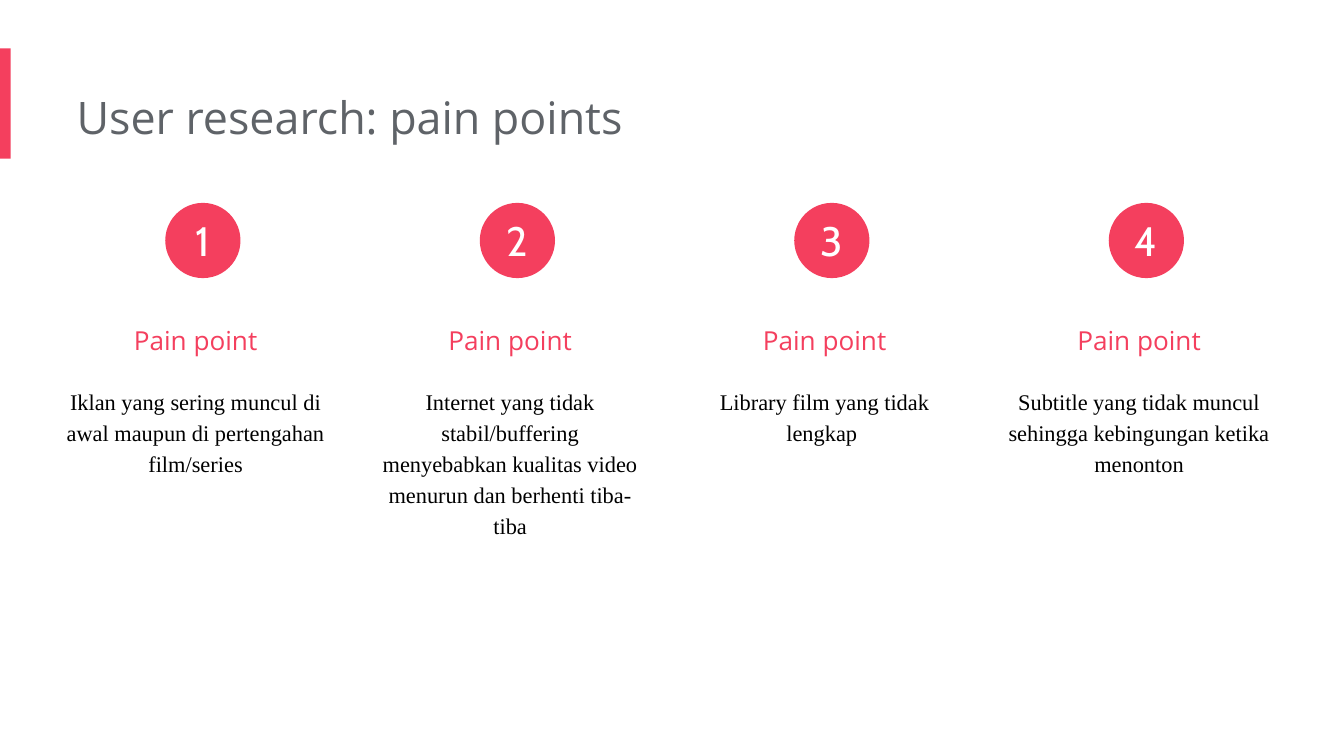
from dataclasses import dataclass

import pptx
import pptx.dml.color
import pptx.enum.shapes
import pptx.enum.text
import pptx.util

Inches = pptx.util.Inches
Align = pptx.enum.text.PP_ALIGN
ShapeKind = pptx.enum.shapes.MSO_SHAPE


@dataclass(frozen=True)
class TextStyle:
    font: str
    size: int
    color: str
    align: Align = Align.CENTER
    line_spacing: float = 1.0


@dataclass(frozen=True)
class Theme:
    accent: str = "F43F5E"
    title: TextStyle = TextStyle("Open Sans", 24, "5F6368", Align.LEFT)
    heading: TextStyle = TextStyle("Open Sans", 14, "F43F5E", line_spacing=1.5)
    body: TextStyle = TextStyle("Times New Roman", 12, "000000", line_spacing=1.15)
    number: TextStyle = TextStyle("Cabin", 22, "FFFFFF")


@dataclass(frozen=True)
class Area:
    left: float
    top: float
    width: float
    height: float

    def lengths(self) -> tuple:
        return tuple(Inches(v) for v in (self.left, self.top, self.width, self.height))


@dataclass(frozen=True)
class PainPoint:
    description: str
    height: float


THEME = Theme()
FIRST_LEFT, COLUMN_PITCH, COLUMN_WIDTH = 0.48, 2.34, 2.05
BADGE_OFFSET, BADGE_SIZE = 0.75, 0.56
PAIN_POINTS = (
    PainPoint("Iklan yang sering muncul di awal maupun di pertengahan film/series", 1.27),
    PainPoint(
        "Internet yang tidak stabil/buffering menyebabkan kualitas video "
        "menurun dan berhenti tiba-tiba",
        1.73,
    ),
    PainPoint("Library film yang tidak lengkap ", 1.04),
    PainPoint("Subtitle yang tidak muncul sehingga kebingungan ketika menonton", 1.27),
)


def write_text(frame, text: str, style: TextStyle, margins: tuple) -> None:
    """Fill a text frame; margins are left, top, right, bottom in inches."""
    frame.margin_left, frame.margin_top, frame.margin_right, frame.margin_bottom = (
        Inches(margin) for margin in margins
    )
    frame.word_wrap = True
    frame.text = text
    para = frame.paragraphs[0]
    para.alignment = style.align
    para.line_spacing = style.line_spacing
    span = para.runs[0]
    span.font.name = style.font
    span.font.size = pptx.util.Pt(style.size)
    span.font.color.rgb = pptx.dml.color.RGBColor.from_string(style.color)


def add_text(page, area: Area, text: str, style: TextStyle) -> None:
    frame = page.shapes.add_textbox(*area.lengths()).text_frame
    write_text(frame, text, style, (0, 0.1, 0.1, 0.1))
    frame.auto_size = pptx.enum.text.MSO_AUTO_SIZE.SHAPE_TO_FIT_TEXT


def add_accent_shape(page, kind: ShapeKind, area: Area):
    shape = page.shapes.add_shape(kind, *area.lengths())
    shape.shadow.inherit = False
    shape.fill.solid()
    shape.fill.fore_color.rgb = pptx.dml.color.RGBColor.from_string(THEME.accent)
    shape.line.fill.background()
    return shape


def add_pain_point(page, index: int, point: PainPoint) -> None:
    left = FIRST_LEFT + index * COLUMN_PITCH
    add_text(page, Area(left, 2.2, COLUMN_WIDTH, 0.44), "Pain point", THEME.heading)
    add_text(page, Area(left, 2.76, COLUMN_WIDTH, point.height),
             point.description, THEME.body)
    badge = add_accent_shape(
        page, ShapeKind.OVAL, Area(left + BADGE_OFFSET, 1.51, BADGE_SIZE, BADGE_SIZE)
    )
    write_text(badge.text_frame, str(index + 1), THEME.number, (0, 0, 0, 0))
    badge.text_frame.vertical_anchor = pptx.enum.text.MSO_ANCHOR.MIDDLE


def main() -> None:
    deck = pptx.Presentation()
    deck.slide_width = Inches(10)
    deck.slide_height = Inches(10 * 9 / 16)
    page = deck.slides.add_slide(deck.slide_layouts[6])

    add_accent_shape(page, ShapeKind.RECTANGLE, Area(0, 0.36, 0.08, 0.82))
    add_text(page, Area(0.57, 0.57, 6.73, 0.61),
             "User research: pain points", THEME.title)
    for index, point in enumerate(PAIN_POINTS):
        add_pain_point(page, index, point)

    deck.save("out.pptx")


if __name__ == "__main__":
    main()
